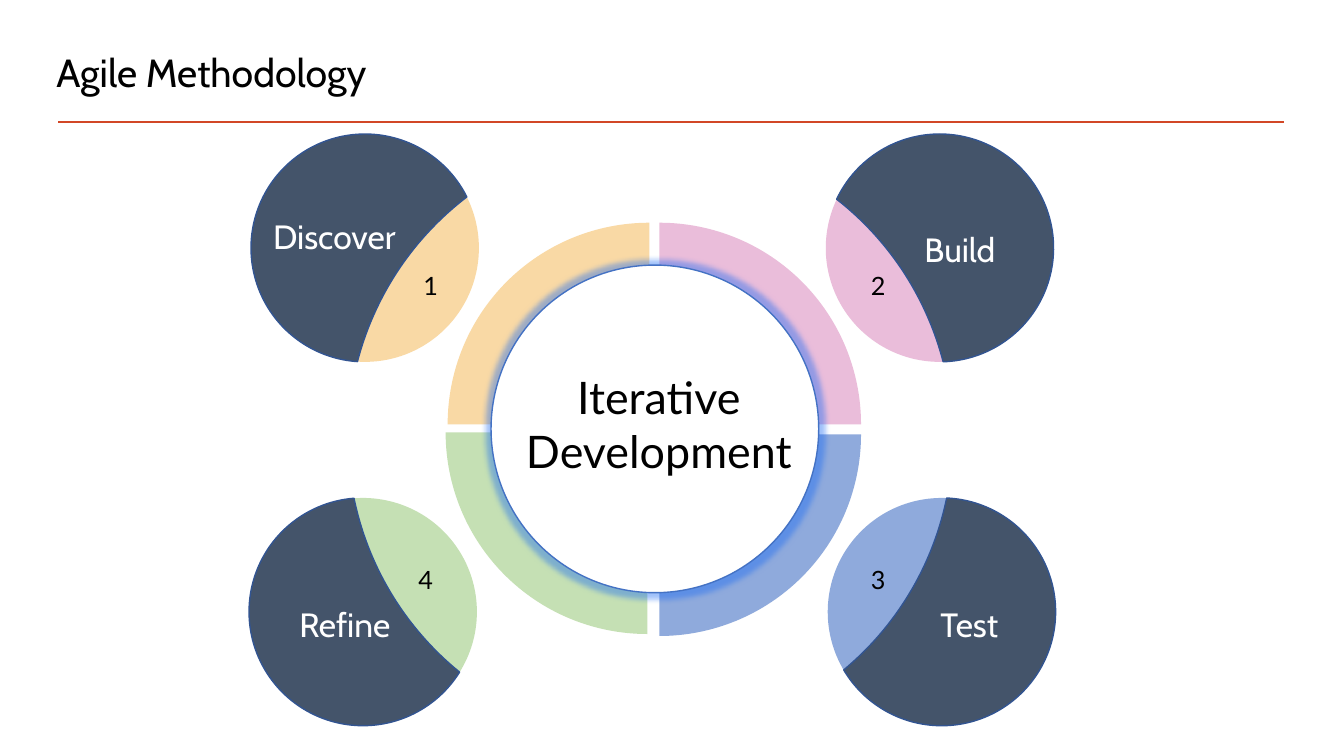
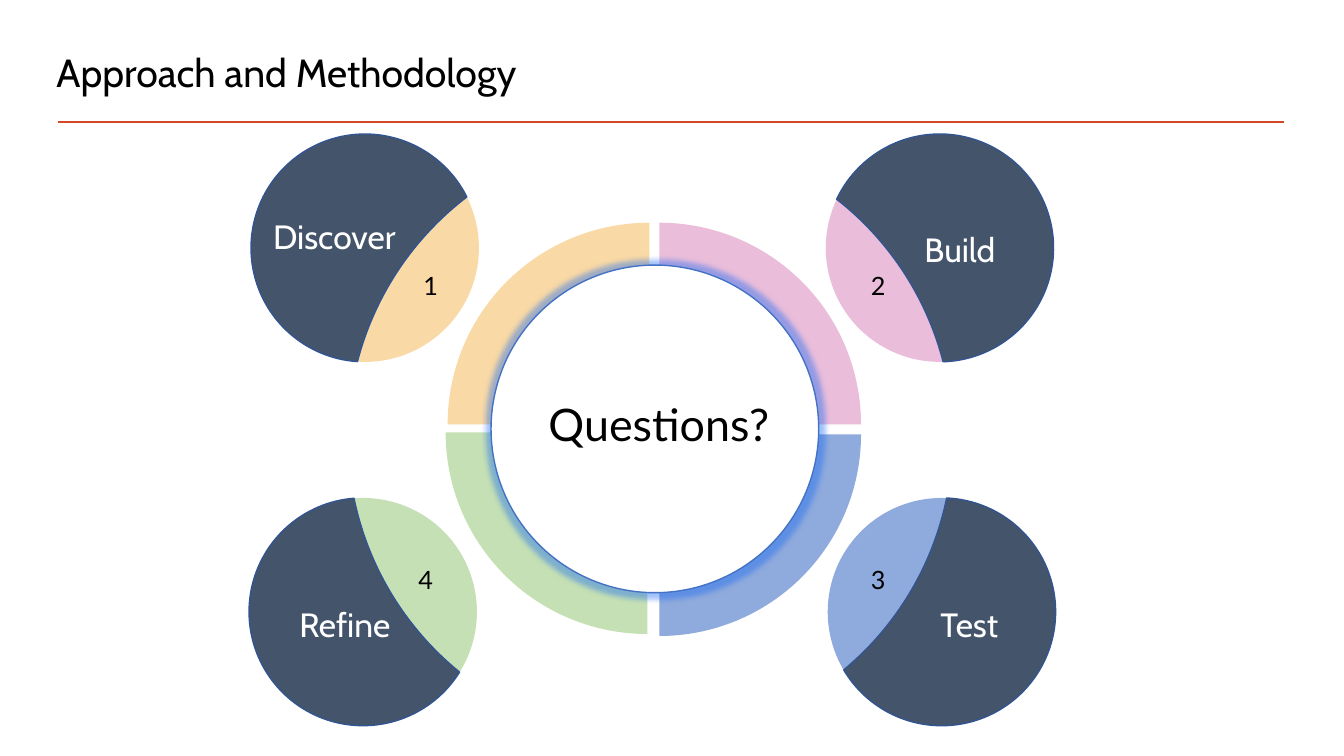
from dataclasses import dataclass
from math import acos, atan2, cos, hypot, pi, sin, tan

from lxml import etree
from pptx import Presentation
from pptx.dml.color import RGBColor
from pptx.enum.shapes import MSO_CONNECTOR, MSO_SHAPE
from pptx.enum.text import MSO_ANCHOR, MSO_AUTO_SIZE, PP_ALIGN
from pptx.oxml.ns import qn
from pptx.util import Inches, Pt

LEFT, CENTER = PP_ALIGN.LEFT, PP_ALIGN.CENTER
MIDDLE = MSO_ANCHOR.MIDDLE
FIT_SHAPE = MSO_AUTO_SIZE.SHAPE_TO_FIT_TEXT
STRAIGHT, OVAL = MSO_CONNECTOR.STRAIGHT, MSO_SHAPE.OVAL
TITLE_ONLY = 5


@dataclass(frozen=True)
class Theme:
    black: RGBColor = RGBColor.from_string("000000")
    white: RGBColor = RGBColor.from_string("FFFFFF")
    rule: RGBColor = RGBColor.from_string("D24726")
    slate: RGBColor = RGBColor.from_string("44546A")
    slate_edge: RGBColor = RGBColor.from_string("325491")
    hub_edge: RGBColor = RGBColor.from_string("4472C4")
    glow: RGBColor = RGBColor.from_string("1467F4")
    orange: RGBColor = RGBColor.from_string("F9D9A5")
    pink: RGBColor = RGBColor.from_string("EABDDA")
    blue: RGBColor = RGBColor.from_string("8FAADC")
    green: RGBColor = RGBColor.from_string("C5E0B4")
    heading_font: str = "Cabin"
    body_font: str = "Lato"
    title_size: int = 28
    hub_size: int = 32
    stage_size: int = 24
    number_size: int = 18


THEME = Theme()
TITLE_FORMAT = {"name": THEME.heading_font, "size": Pt(THEME.title_size)}
HUB_FORMAT = {"name": THEME.body_font, "size": Pt(THEME.hub_size)}
STAGE_FORMAT = {"name": THEME.heading_font, "size": Pt(THEME.stage_size)}
NUMBER_FORMAT = {"name": THEME.body_font, "size": Pt(THEME.number_size)}

# Title, hub caption, caption top and height
SLIDES = [
    ("Agile Methodology", "Iterative Development", 3.62, 1.18),
    ("Approach and Methodology", "Questions?", 3.89, 0.64),
]

# Name, name position, number position, circle centre, quadrant corner, colour
STAGES = [
    ("Discover", (2.61, 2.09), (4.1, 2.63), (3.62, 2.46), (6.44, 4.21), THEME.orange),
    ("Build", (9.07, 2.22), (8.54, 2.63), (9.32, 2.46), (6.54, 4.21), THEME.pink),
    ("Test", (9.23, 5.94), (8.54, 5.55), (9.34, 6.07), (6.54, 4.31), THEME.blue),
    ("Refine", (2.87, 5.94), (4.05, 5.55), (3.6, 6.07), (6.42, 4.29), THEME.green),
]
STAGE_RADIUS = 1.13
QUADRANT_RADIUS = 2
ORBIT_CENTER = (6.45, 4.34)
ORBIT_RADIUS = 3
ARC_CURVES = 4


def arc(center, radius, start, end):
    """Return a start point, then two control points and an end point per Bezier curve.

    Points are in EMU; angles run clockwise from the right.
    """
    sweep = (end - start) / ARC_CURVES
    pull = 4 / 3 * tan(sweep / 4)
    spots = []
    for step in range(ARC_CURVES + 1):
        angle = start + step * sweep
        x, y = cos(angle), sin(angle)
        spots += [(x + pull * y, y - pull * x), (x, y), (x - pull * y, y + pull * x)]
    return [(Inches(center[0] + radius * x), Inches(center[1] + radius * y))
            for x, y in spots[1:-1]]


def write(frame, text, font_format, color, align=LEFT):
    frame.word_wrap = True
    paragraph = frame.paragraphs[0]
    paragraph.alignment = align
    run = paragraph.add_run()
    run.text = text
    for attribute, value in font_format.items():
        setattr(run.font, attribute, value)
    run.font.color.rgb = color


# Each stage circle is cut by one large orbit around the hub.
outlines = []
for index, (_, _, _, center, corner, color) in enumerate(STAGES):
    start = pi + index * pi / 2
    quadrant = arc(corner, QUADRANT_RADIUS, start, start + pi / 2)
    quadrant.append((Inches(corner[0]), Inches(corner[1])))

    dx, dy = ORBIT_CENTER[0] - center[0], ORBIT_CENTER[1] - center[1]
    distance, inward = hypot(dx, dy), atan2(dy, dx)
    difference = ORBIT_RADIUS ** 2 - STAGE_RADIUS ** 2
    stage_half = acos((distance ** 2 - difference) / (2 * STAGE_RADIUS * distance))
    orbit_half = acos((distance ** 2 + difference) / (2 * ORBIT_RADIUS * distance))
    cut = arc(ORBIT_CENTER, ORBIT_RADIUS, inward + pi - orbit_half, inward + pi + orbit_half)
    lens = arc(center, STAGE_RADIUS, inward - stage_half, inward + stage_half) + cut[1:]
    body = arc(center, STAGE_RADIUS, inward + stage_half, inward + 2 * pi - stage_half)
    body += cut[-2::-1]

    outlines += [(quadrant, color, None), (lens, color, None),
                 (body, THEME.slate, THEME.slate_edge)]

deck = Presentation()
deck.slide_width, deck.slide_height = Inches(13.33), Inches(7.5)

for title_text, caption_text, caption_top, caption_height in SLIDES:
    slide = deck.slides.add_slide(deck.slide_layouts[TITLE_ONLY])
    shapes = slide.shapes

    rule = shapes.add_connector(STRAIGHT, Inches(0.58), Inches(1.21), Inches(12.74), Inches(1.21))
    rule.line.color.rgb = THEME.rule
    rule.line.width = Pt(2)
    etree.SubElement(rule.element.spPr, qn("a:effectLst"))

    title = shapes.title
    title.left, title.top = Inches(0.46), Inches(0.39)
    title.width, title.height = Inches(9.57), Inches(0.7)
    title.text_frame.vertical_anchor = MIDDLE
    title.text_frame.paragraphs[0].line_spacing = 0.9
    write(title.text_frame, title_text, TITLE_FORMAT, THEME.black)

    for points, fill, edge in outlines:
        builder = shapes.build_freeform(*points[0])
        builder.add_line_segments(points[1:], close=True)
        piece = builder.convert_to_shape()
        # Every three line points become one Bezier curve; a leftover point stays a line.
        outline = next(piece.element.iter(qn("a:path")))
        segments = outline.findall(qn("a:lnTo"))
        for first in range(0, len(segments) - 2, 3):
            curve = etree.Element(qn("a:cubicBezTo"))
            segments[first].addprevious(curve)
            for segment in segments[first:first + 3]:
                curve.append(segment[0])
                outline.remove(segment)
        piece.shadow.inherit = False
        piece.fill.solid()
        piece.fill.fore_color.rgb = fill
        if edge:
            piece.line.color.rgb = edge
            piece.line.width = Pt(1)
        else:
            piece.line.fill.background()

    hub = shapes.add_shape(OVAL, Inches(4.87), Inches(2.63), Inches(3.25), Inches(3.25))
    hub.shadow.inherit = False
    hub.fill.solid()
    hub.fill.fore_color.rgb = THEME.white
    hub.line.color.rgb = THEME.hub_edge
    hub.line.width = Pt(1)
    effects = hub.element.spPr.find(qn("a:effectLst"))
    glow = etree.SubElement(effects, qn("a:glow"), rad=str(Pt(8)))
    glow_color = etree.SubElement(glow, qn("a:srgbClr"), val=str(THEME.glow))
    etree.SubElement(glow_color, qn("a:alpha"), val="40000")

    labels = [(caption_text, (5, caption_top), (3.07, caption_height),
               HUB_FORMAT, THEME.black, CENTER)]
    for number, (name, name_at, number_at, *_) in enumerate(STAGES, 1):
        labels += [(str(number), number_at, (0.32, 0.4), NUMBER_FORMAT, THEME.black, LEFT),
                   (name, name_at, (1.6, 0.5), STAGE_FORMAT, THEME.white, LEFT)]
    for text, position, size, font_format, color, align in labels:
        label = shapes.add_textbox(*map(Inches, position + size))
        label.text_frame.auto_size = FIT_SHAPE
        write(label.text_frame, text, font_format, color, align)

deck.save("out.pptx")
